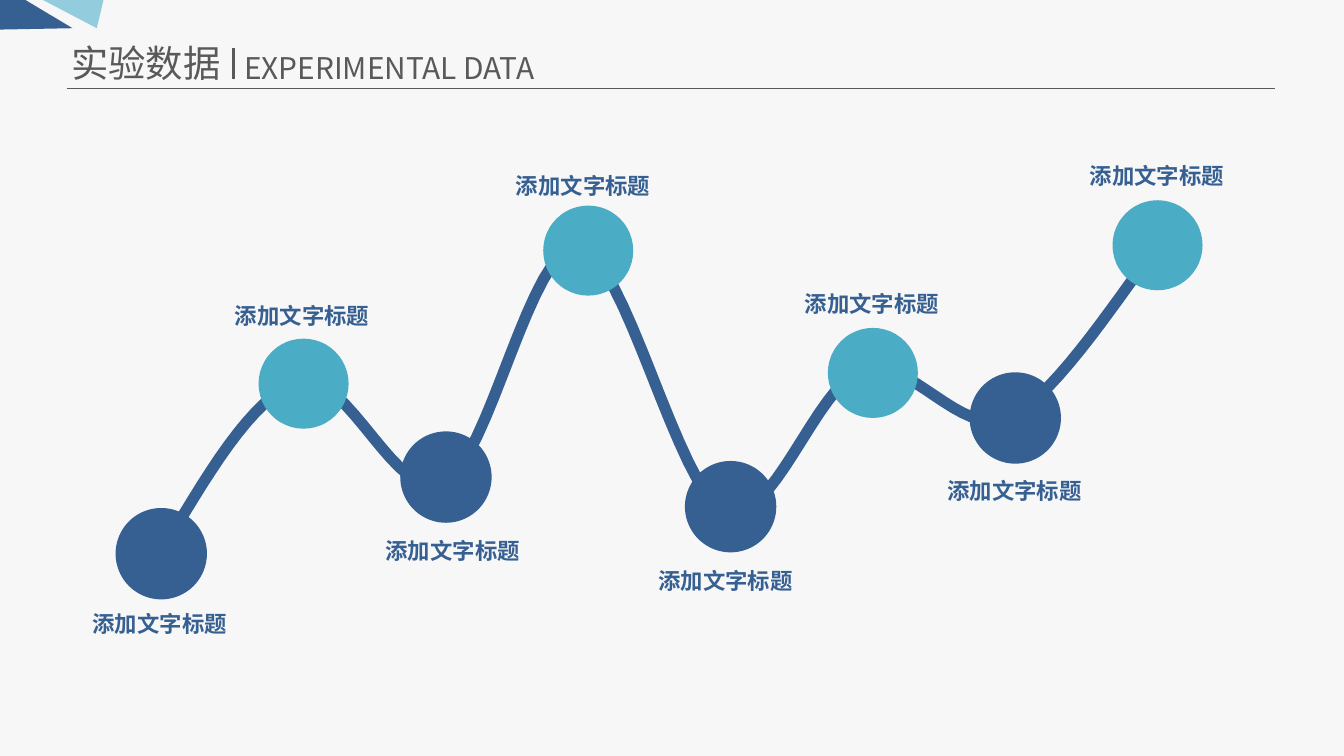
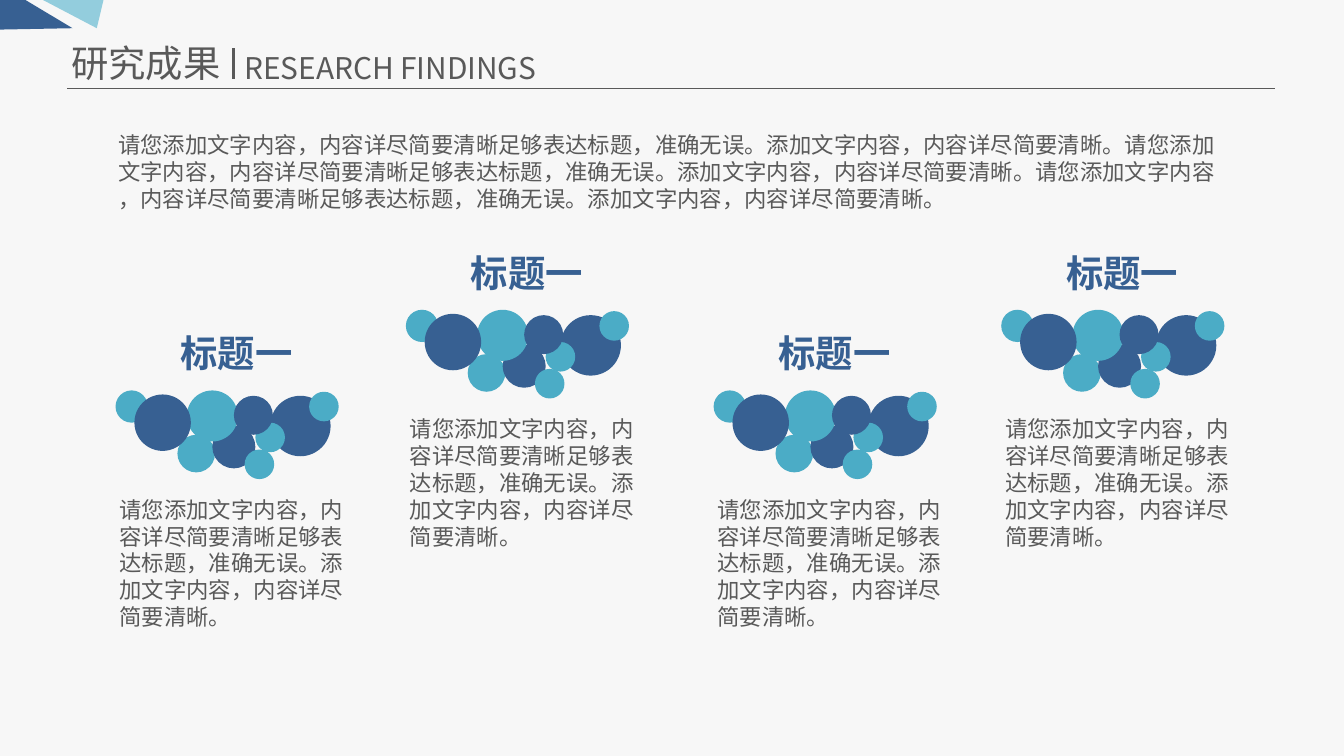
from dataclasses import dataclass

from lxml import etree
from pptx import Presentation
from pptx.dml.color import RGBColor
from pptx.enum.shapes import MSO_CONNECTOR, MSO_SHAPE
from pptx.enum.text import MSO_AUTO_SIZE, PP_ALIGN
from pptx.oxml.ns import qn
from pptx.util import Inches, Pt

STRAIGHT = MSO_CONNECTOR.STRAIGHT
OVAL, DONUT = MSO_SHAPE.OVAL, MSO_SHAPE.DONUT
LEFT, CENTER = PP_ALIGN.LEFT, PP_ALIGN.CENTER
GROW = MSO_AUTO_SIZE.SHAPE_TO_FIT_TEXT

FONT = "Noto Sans CJK SC"
PAPER, GRAY, NAVY, TEAL, SKY = "F7F7F7", "595959", "376092", "4BACC6", "93CDDD"
COLUMNS, ROWS = 100, 56.25
RING_WIDTH = 0.05
CURVE_STEPS = 16

NODE_LABEL = "添加文字标题"
NODE_START, NODE_STEP, NODE_SIZE = 7, 10.59, 6.8
NODES = [
    (31.2, 0.9, 34.9), (18.55, 11.5, 12), (25.5, 22.7, 29.5), (8.65, 32.4, 2.3),
    (27.7, 43, 31.7), (17.75, 53.9, 11.1), (21.1, 64.5, 25), (8.25, 75.1, 1.6),
]
CURVE_START = (6.7, 31.6)
CURVE = [
    ((10.3, 25.5), (13.8, 19.4), (17.3, 18.4)),
    ((20.9, 17.5), (24.5, 27.6), (28, 25.9)),
    ((31.4, 24.3), (34.5, 8.1), (38, 8.4)),
    ((41.5, 8.8), (45.4, 26.5), (48.9, 28)),
    ((52.4, 29.5), (55.7, 18.6), (59.2, 17.5)),
    ((62.7, 16.4), (66.4, 22.6), (70, 21.1)),
    ((73.6, 19.6), (79.1, 10.7), (81.1, 8.4)),
]

INTRO = [
    "请您添加文字内容，内容详尽简要清晰足够表达标题，准确无误。添加文字内容，内容详尽简要清晰。请您添加",
    "文字内容，内容详尽简要清晰足够表达标题，准确无误。添加文字内容，内容详尽简要清晰。请您添加文字内容",
    "，内容详尽简要清晰足够表达标题，准确无误。添加文字内容，内容详尽简要清晰。",
]
CARD_TITLE = "标题一"
CARD_TEXT = "请您添加文字内容，内容详尽简要清晰足够表达标题，准确无误。添加文字内容，内容详尽简要清晰。"
CARD_LEFTS = [7.9, 29.5, 52.4, 73.8]
CARD_TOPS = [24.1, 18.1]
BUBBLES = [
    (11.5, 0.4, 4.5, NAVY, True), (0, 0, 2.4, TEAL, True),
    (4.6, 3.3, 2.8, TEAL, True), (14.4, 0.1, 2.2, TEAL, False),
    (10.4, 2.4, 2.2, TEAL, False), (7.2, 2.6, 3.2, NAVY, True),
    (9.6, 4.4, 2.2, TEAL, False), (5.3, 0, 3.8, TEAL, True),
    (8.8, 0.4, 2.9, NAVY, False), (1.4, 0.3, 4.2, NAVY, True),
]


@dataclass
class Box:
    """A region measured in grid columns and rows."""
    left: float
    top: float
    width: float
    height: float

    def area(self, left, top, width, height):
        """Return a region placed relative to this one."""
        return Box(self.left + left, self.top + top, width, height)

    def point(self, x, y):
        """Return a point of this region in slide units."""
        return grid(self.left + x), grid(self.top + y)

    def frame(self):
        """Return left, top, width and height in slide units."""
        return [grid(side) for side in (self.left, self.top, self.width, self.height)]


def grid(cells):
    """Turn grid cells into a length."""
    return Inches(cells / 10)


def color(code):
    """Turn a hex string into a colour."""
    return RGBColor.from_string(code)


def paint(shape, fill):
    """Give a shape a flat fill without line or shadow."""
    shape.shadow.inherit = False
    shape.fill.solid()
    shape.fill.fore_color.rgb = color(fill)
    shape.line.fill.background()


def add_text(page, box, lines, size, ink, bold=False, align=LEFT, wrap=False):
    """Add a text box with one paragraph for each line."""
    text_frame = page.shapes.add_textbox(*box.frame()).text_frame
    text_frame.word_wrap = wrap
    text_frame.auto_size = GROW
    text_frame.text = "\n".join(lines)
    for para in text_frame.paragraphs:
        para.alignment = align
        for span in para.runs:
            font = span.font
            font.name, font.size, font.bold = FONT, Pt(size), bold
            font.color.rgb = color(ink)
            etree.SubElement(font._element, qn("a:ea"), typeface=FONT)


def add_rule(page, box, start, end, width):
    """Draw a straight gray line between two points of a box."""
    rule = page.shapes.add_connector(STRAIGHT, *box.point(*start), *box.point(*end))
    rule.line.color.rgb = color(GRAY)
    rule.line.width = Pt(width)
    etree.SubElement(rule._element.spPr, qn("a:effectLst"))


def add_outline(shapes, box, points, closed):
    """Draw a freeform through points of a box."""
    start, *others = [box.point(*point) for point in points]
    builder = shapes.build_freeform(*start)
    builder.add_line_segments(others, close=closed)
    return builder.convert_to_shape()


def add_disc(shapes, box, fill, ringed):
    """Draw a disc, with a thin ring of the same colour if asked."""
    if ringed:
        ring = shapes.add_shape(DONUT, *box.frame())
        ring.adjustments[0] = RING_WIDTH
        paint(ring, fill)
        inset = box.width * RING_WIDTH / 2
        size = box.width - 2 * inset
        box = box.area(inset, inset, size, size)
    paint(shapes.add_shape(OVAL, *box.frame()), fill)


def add_corner(page, box):
    """Draw the two shards in the top left corner."""
    shards = page.shapes.add_group_shape().shapes
    paint(add_outline(shards, box, [(3.2, 0), (7.2, 2.1), (7.7, 0)], True), SKY)
    paint(add_outline(shards, box, [(5.4, 2.1), (1.9, 0), (0, 0), (0, 2.2)], True), NAVY)


def add_header(page, box, title, subtitle):
    """Place the title, its translation and the rules."""
    add_rule(page, box, (0, 4.1), (box.width, 4.1), 0.75)
    add_text(page, box.area(-0.7, 0, 13.2, 4.4), [title], 20, GRAY)
    add_text(page, box.area(12.2, 0.7, 25, 3.7), [subtitle], 16, GRAY)
    add_rule(page, box, (12.4, 1.1), (12.4, 3.4), 1.5)


def add_page(deck, title, subtitle):
    """Add a blank slide with the shared corner and header."""
    page = deck.slides.add_slide(deck.slide_layouts[6])
    add_corner(page, Box(0, 0, 7.7, 2.2))
    add_header(page, Box(5, 2.5, 89.9, 4.4), title, subtitle)
    return page


def bezier(start, first, second, end, share):
    """Return the point at a share of a cubic curve."""
    rest = 1 - share
    return tuple(
        rest ** 3 * a + 3 * rest ** 2 * share * b + 3 * rest * share ** 2 * c + share ** 3 * d
        for a, b, c, d in zip(start, first, second, end)
    )


def add_wave(page, box):
    """Draw the thick curve that runs through the nodes."""
    points = [CURVE_START]
    for first, second, end in CURVE:
        start = points[-1]
        points += [bezier(start, first, second, end, step / CURVE_STEPS)
                   for step in range(1, CURVE_STEPS + 1)]
    wave = add_outline(page.shapes, box, points, False)
    wave.shadow.inherit = False
    wave.fill.background()
    wave.line.color.rgb = color(NAVY)
    wave.line.width = Pt(6)


def add_node_chart(page, box):
    """Place the curve, its nodes and their labels."""
    add_wave(page, box)
    for index, (middle, label_left, label_top) in enumerate(NODES):
        raised = index % 2 == 1
        size = NODE_SIZE - 0.1 if raised else NODE_SIZE
        center = NODE_START + index * NODE_STEP
        disc = box.area(center - size / 2, middle - size / 2, size, size)
        shapes = page.shapes.add_group_shape().shapes if raised else page.shapes
        add_disc(shapes, disc, TEAL if raised else NAVY, raised)
        add_text(page, box.area(label_left, label_top, 12.1, 3), [NODE_LABEL], 12, NAVY, bold=True)


def add_card(page, box):
    """Place a heading, a cluster of bubbles and a text."""
    add_text(page, box.area(4.5, 0, 10.4, 4.4), [CARD_TITLE], 20, NAVY, bold=True, align=CENTER)
    cluster = page.shapes.add_group_shape().shapes
    for left, top, size, fill, ringed in BUBBLES:
        add_disc(cluster, box.area(0.7 + left, 4.95 + top, size, size), fill, ringed)
    add_text(page, box.area(0, 12.3, box.width, 11.1), [CARD_TEXT], 12, GRAY, wrap=True)


def build_data_page(deck):
    """Build the slide with the experimental data."""
    page = add_page(deck, "实验数据", "EXPERIMENTAL DATA")
    add_node_chart(page, Box(5, 10, 90, 38))


def build_findings_page(deck):
    """Build the slide with the research findings."""
    page = add_page(deck, "研究成果", "RESEARCH FINDINGS")
    add_text(page, Box(7.8, 9.3, 84.5, 7.1), INTRO, 12, GRAY)
    for index, left in enumerate(CARD_LEFTS):
        add_card(page, Box(left, CARD_TOPS[index % 2], 19.2, 23.4))


def main():
    """Build and save the deck."""
    deck = Presentation()
    deck.slide_width, deck.slide_height = grid(COLUMNS), grid(ROWS)
    backdrop = deck.slide_master.background.fill
    backdrop.solid()
    backdrop.fore_color.rgb = color(PAPER)
    build_data_page(deck)
    build_findings_page(deck)
    deck.save("out.pptx")


if __name__ == "__main__":
    main()
